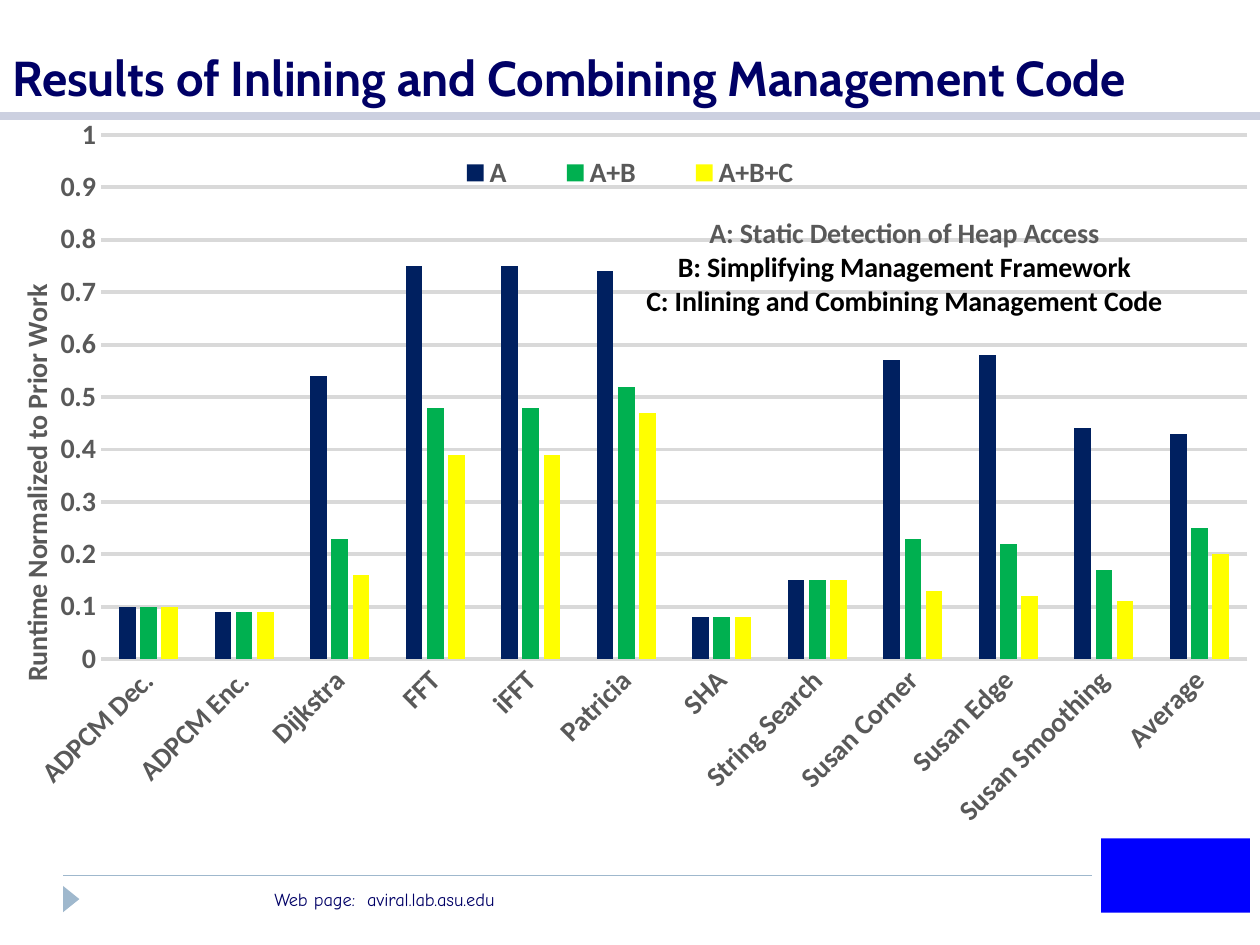
import lxml.etree
import pptx
import pptx.chart.data
import pptx.dml.color
import pptx.enum.chart
import pptx.enum.shapes
import pptx.enum.text
import pptx.oxml.ns
import pptx.util
from pptx.util import Cm

NAVY = "000066"
GRAY = "595959"
GRID = "D9D9D9"
STEEL = "9FB8CD"

CATEGORIES = ["ADPCM Dec.", "ADPCM Enc.", "Dijkstra", "FFT", "iFFT", "Patricia", "SHA",
              "String Search", "Susan Corner", "Susan Edge", "Susan Smoothing", "Average"]
SERIES = [
    ("A", "002060", [0.1, 0.09, 0.54, 0.75, 0.75, 0.74, 0.08, 0.15, 0.57, 0.58, 0.44, 0.43]),
    ("A+B", "00B050", [0.1, 0.09, 0.23, 0.48, 0.48, 0.52, 0.08, 0.15, 0.23, 0.22, 0.17, 0.25]),
    ("A+B+C", "FFFF00", [0.1, 0.09, 0.16, 0.39, 0.39, 0.47, 0.08, 0.15, 0.13, 0.12, 0.11, 0.2]),
]
EXPLANATION = [
    ("A: Static Detection of Heap Access", GRAY),
    ("B: Simplifying Management Framework", "000000"),
    ("C: Inlining and Combining Management Code", "000000"),
]


def color(value):
    return pptx.dml.color.RGBColor.from_string(value)


def set_font(font, size=16, name="Calibri", fill=GRAY, bold=True):
    font.size = pptx.util.Pt(size)
    font.name = name
    font.bold = bold
    font.color.rgb = color(fill)


def write(paragraph, text, **style):
    run = paragraph.add_run()
    run.text = text
    set_font(run.font, **style)


def add_text(slide, text, left, top, width, height, anchor="TOP", **style):
    box = slide.shapes.add_textbox(Cm(left), Cm(top), Cm(width), Cm(height))
    box.text_frame.word_wrap = True
    box.text_frame.vertical_anchor = getattr(pptx.enum.text.MSO_ANCHOR, anchor)
    write(box.text_frame.paragraphs[0], text, **style)


def add_rule(slide, left, right, top, fill, width):
    rule = slide.shapes.add_connector(
        pptx.enum.shapes.MSO_CONNECTOR.STRAIGHT, Cm(left), Cm(top), Cm(right), Cm(top))
    rule.line.color.rgb = color(fill)
    rule.line.width = pptx.util.Pt(width)
    lxml.etree.SubElement(rule._element.spPr, pptx.oxml.ns.qn("a:effectLst"))


def add_shape(slide, kind, left, top, width, height, fill):
    shape = slide.shapes.add_shape(kind, Cm(left), Cm(top), Cm(width), Cm(height))
    shape.shadow.inherit = False
    shape.fill.solid()
    shape.fill.fore_color.rgb = color(fill)
    shape.line.fill.background()
    return shape


def place(element, **position):
    """Set a manual layout, in fractions of the chart, on a chart part."""
    qn = pptx.oxml.ns.qn
    for old in element.findall(qn("c:layout")):
        element.remove(old)
    layout = lxml.etree.Element(qn("c:layout"))
    manual = lxml.etree.SubElement(layout, qn("c:manualLayout"))
    if element.tag == qn("c:plotArea"):
        lxml.etree.SubElement(manual, qn("c:layoutTarget")).set("val", "inner")
        element.insert(0, layout)
    else:
        element.find(qn("c:overlay")).addprevious(layout)
    for key in ("xMode", "yMode"):
        lxml.etree.SubElement(manual, qn(f"c:{key}")).set("val", "edge")
    for key, value in position.items():
        lxml.etree.SubElement(manual, qn(f"c:{key}")).set("val", str(value))


def format_axes(chart):
    no_ticks = pptx.enum.chart.XL_TICK_MARK.NONE
    for axis in (chart.category_axis, chart.value_axis):
        axis.major_tick_mark = axis.minor_tick_mark = no_ticks
        set_font(axis.tick_labels.font)

    category_axis = chart.category_axis
    category_axis.format.line.color.rgb = color(GRID)
    category_axis.format.line.width = pptx.util.Pt(0.75)
    body = category_axis._element.find(".//" + pptx.oxml.ns.qn("a:bodyPr"))
    body.set("rot", str(-45 * 60000))

    value_axis = chart.value_axis
    value_axis.minimum_scale, value_axis.maximum_scale = 0, 1
    value_axis.major_unit = 0.1
    value_axis.tick_labels.number_format = "General"
    value_axis.tick_labels.number_format_is_linked = False
    value_axis.format.line.fill.background()
    value_axis.major_gridlines.format.line.color.rgb = color(GRID)
    value_axis.major_gridlines.format.line.width = pptx.util.Pt(2.25)
    write(value_axis.axis_title.text_frame.paragraphs[0], "Runtime Normalized to Prior Work")
    place(value_axis.axis_title._element, x=0.01, y=0.22)


def add_runtime_chart(slide):
    data = pptx.chart.data.CategoryChartData()
    data.categories = CATEGORIES
    for name, _, values in SERIES:
        data.add_series(name, values)
    chart = slide.shapes.add_chart(
        pptx.enum.chart.XL_CHART_TYPE.COLUMN_CLUSTERED,
        Cm(0), Cm(2.26), Cm(25.4), Cm(15.32), data).chart
    set_font(chart.font, size=10, fill="000000", bold=False)

    # Columns
    plot = chart.plots[0]
    plot.gap_width, plot.overlap = 219, -27
    plot.vary_by_categories = False
    for series, (_, fill, _) in zip(plot.series, SERIES):
        series.format.fill.solid()
        series.format.fill.fore_color.rgb = color(fill)

    format_axes(chart)

    # Explanation of the series, as the chart title
    chart.has_title = True
    frame = chart.chart_title.text_frame
    for index, (text, fill) in enumerate(EXPLANATION):
        paragraph = frame.add_paragraph() if index else frame.paragraphs[0]
        write(paragraph, text, fill=fill)
    chart.chart_title.include_in_layout = True
    place(chart.chart_title._element, x=0.51, y=0.13)

    # Legend
    chart.has_legend = True
    chart.legend.position = pptx.enum.chart.XL_LEGEND_POSITION.BOTTOM
    chart.legend.include_in_layout = True
    set_font(chart.legend.font)
    place(chart.legend._element, x=0.33, y=0.05, w=0.34, h=0.06)

    plot_area = chart._chartSpace.chart.plotArea
    place(plot_area, x=0.08, y=0.03, w=0.91, h=0.69)


def main():
    presentation = pptx.Presentation()
    presentation.slide_width, presentation.slide_height = Cm(25.4), Cm(19.05)
    slide = presentation.slides.add_slide(presentation.slide_layouts[6])
    shapes = pptx.enum.shapes.MSO_SHAPE

    # Footer
    add_rule(slide, 1.27, 22.02, 17.65, STEEL, 1)
    marker = add_shape(slide, shapes.ISOSCELES_TRIANGLE, 1.17, 17.96, 0.53, 0.33, STEEL)
    marker.rotation = 90
    add_text(slide, "Web page:\u00a0 aviral.lab.asu.edu".replace("\u00a0", " "),
             5.28, 17.78, 9.53, 0.71, size=10.5, name="Comic Neue", fill=NAVY, bold=False)

    # Plain block in the corner
    add_shape(slide, shapes.RECTANGLE, 22.2, 16.9, 3, 1.5, "0000FF")

    # Heading
    add_rule(slide, 0, 25.4, 2.34, "CCD0E0", 5)
    add_text(slide, "Results of Inlining and Combining Management Code",
             0, 0, 25.4, 2.26, anchor="BOTTOM", size=28, name="Cabin", fill=NAVY)

    add_runtime_chart(slide)
    presentation.save("out.pptx")


if __name__ == "__main__":
    main()
